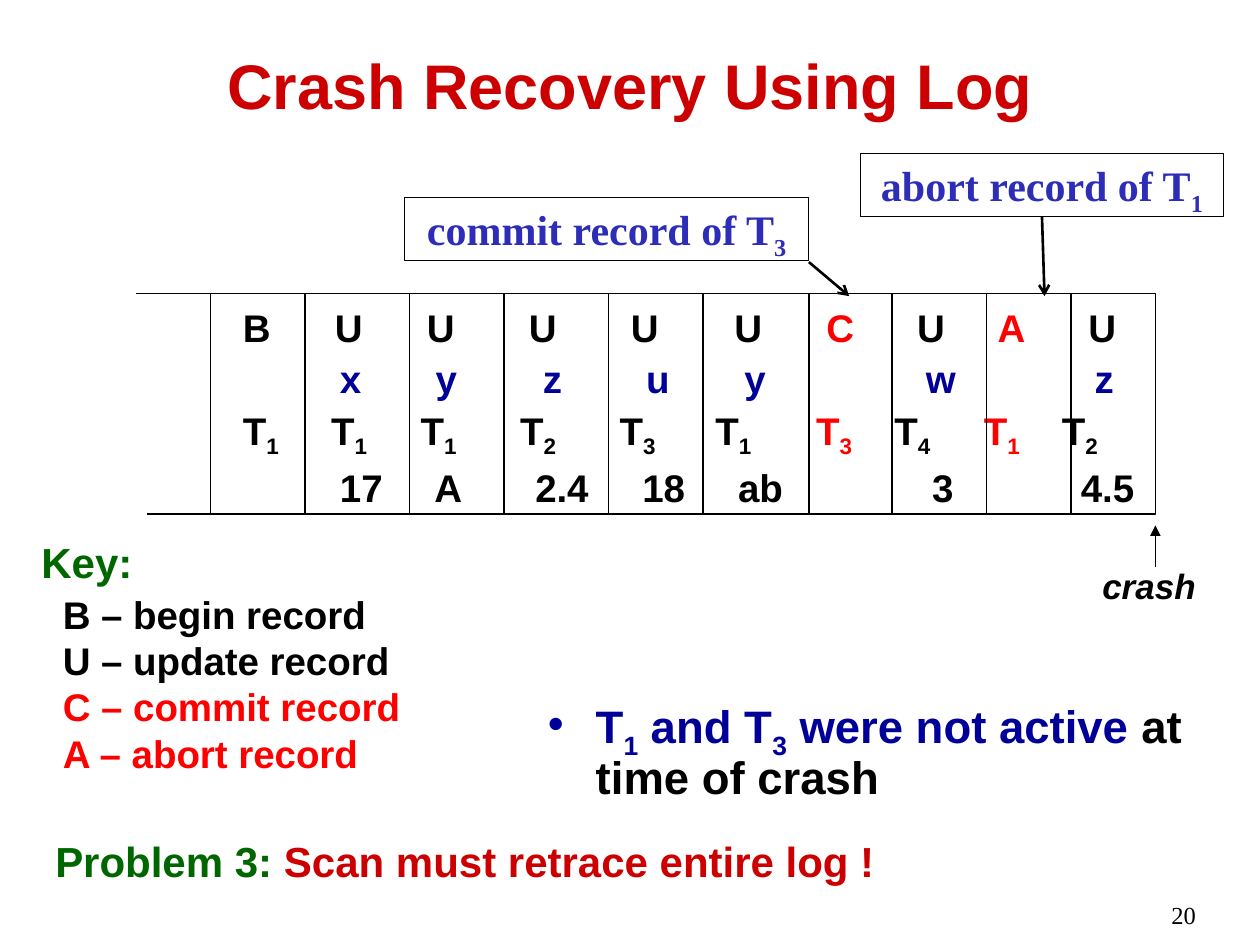
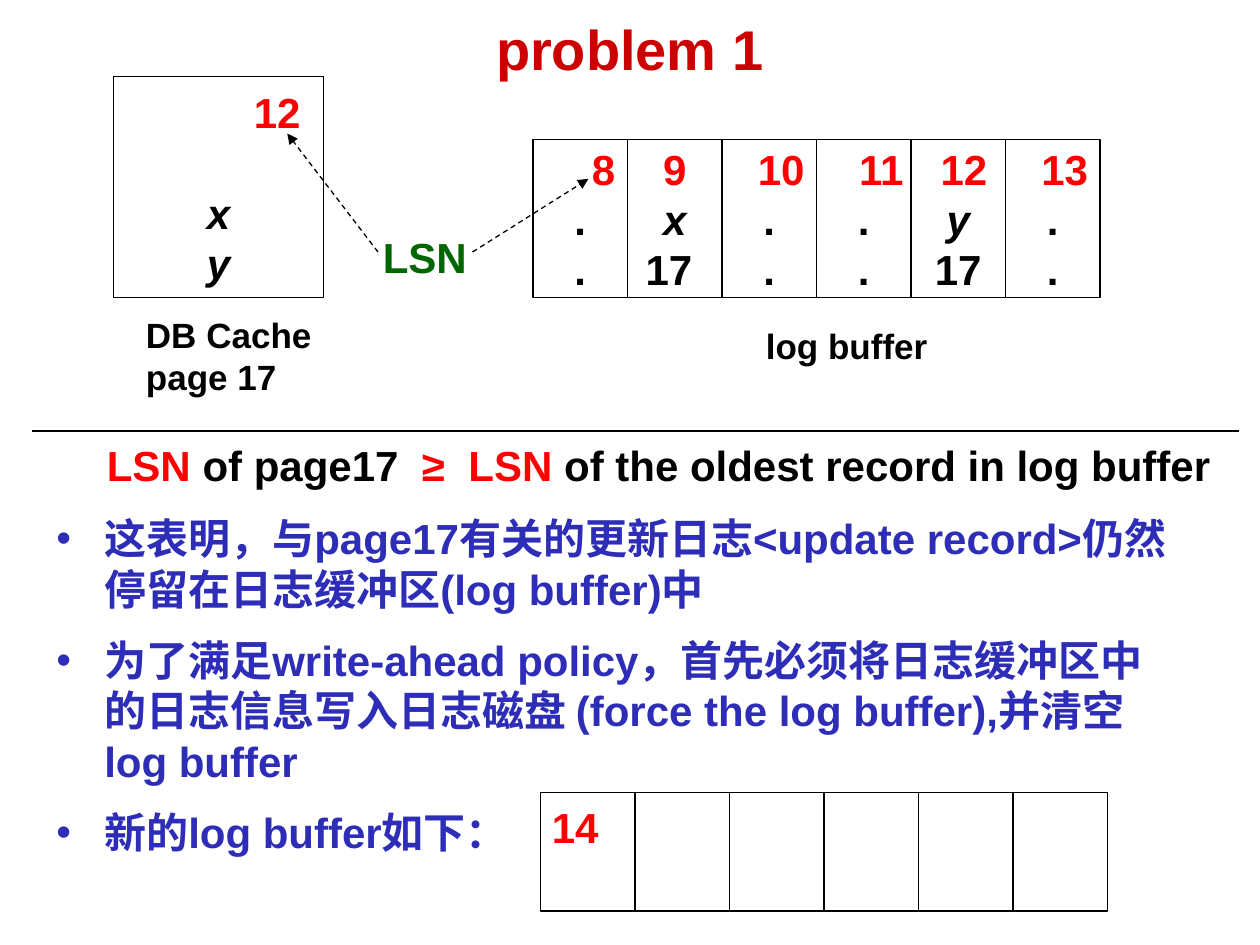
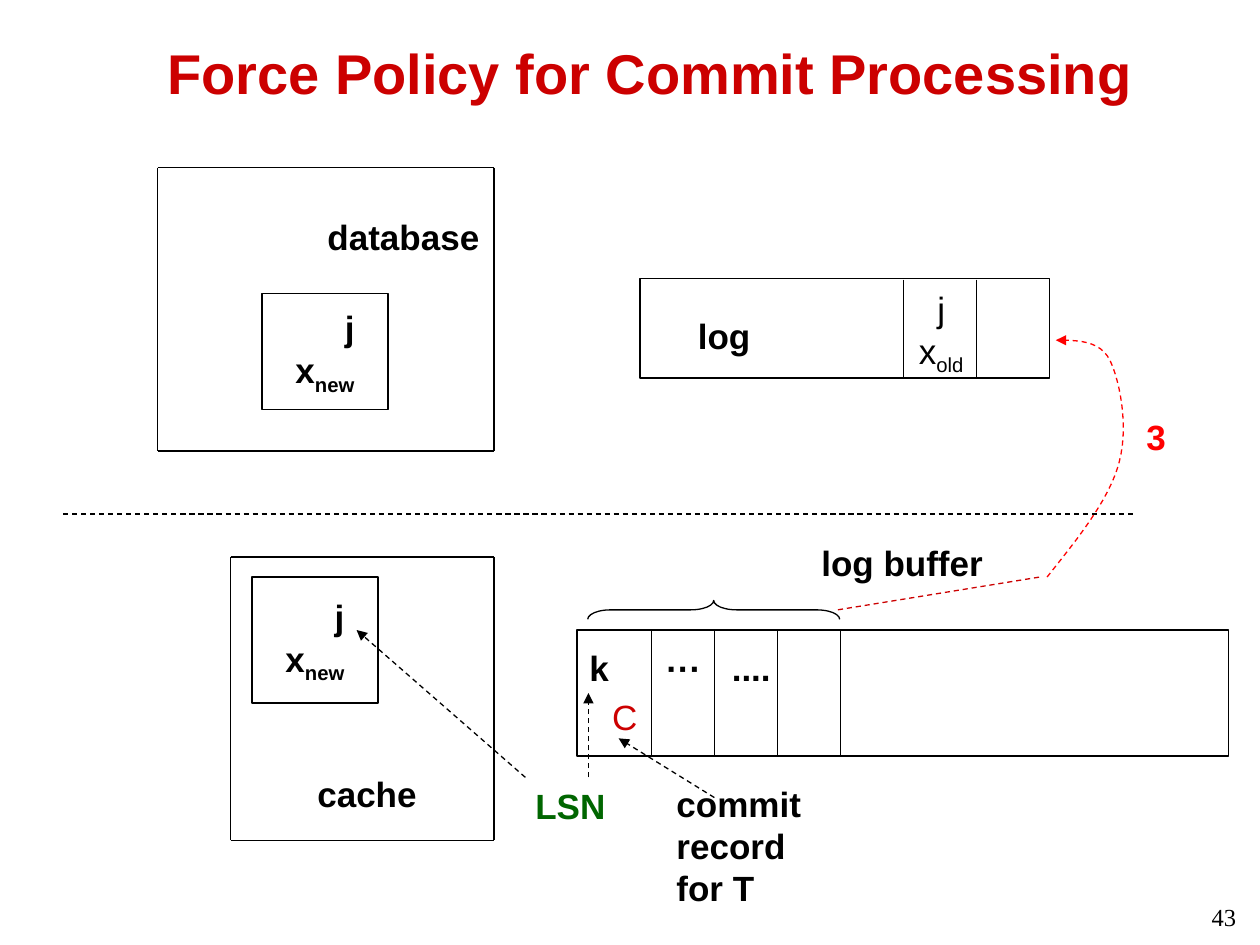
"""Build three slides on logging and crash recovery."""
import dataclasses
import typing

import pptx
import pptx.dml.color
import pptx.enum.dml
import pptx.enum.shapes
import pptx.enum.text
import pptx.oxml.ns
import pptx.util
from lxml import etree

Inches = pptx.util.Inches
Pt = pptx.util.Pt
Align = pptx.enum.text.PP_ALIGN
Anchor = pptx.enum.text.MSO_ANCHOR
Kind = pptx.enum.shapes.MSO_SHAPE
qn = pptx.oxml.ns.qn


@dataclasses.dataclass(frozen=True)
class Theme:
    sans: str = "Arial"
    serif: str = "Times New Roman"
    black: str = "000000"
    white: str = "FFFFFF"
    red: str = "FF0000"
    crimson: str = "CC0000"
    green: str = "006600"
    navy: str = "000099"
    blue: str = "2D2DB7"
    title: int = 32
    lead: int = 36
    point: int = 26
    large: int = 24
    log: int = 22
    label: int = 20
    page: int = 14
    thin: float = 0.75
    thick: float = 1.5


THEME = Theme()


class Box(typing.NamedTuple):
    left: float
    top: float
    width: float
    height: float


class Bit(typing.NamedTuple):
    text: str
    color: str | None = None
    size: int | None = None
    italic: bool | None = None


@dataclasses.dataclass(frozen=True)
class Para:
    bits: tuple
    shift: float = 0
    tabs: tuple = ()
    after: float = 0


class Wire(typing.NamedTuple):
    x1: float
    y1: float
    x2: float
    y2: float
    tip: str | None = None
    dash: bool = False
    color: str = THEME.black
    width: float = THEME.thin


class Label(typing.NamedTuple):
    box: Box
    lines: tuple
    color: str = THEME.black
    size: int = THEME.label
    italic: bool = False


def rgb(color: str):
    return pptx.dml.color.RGBColor.from_string(color)


def place(box: Box) -> list:
    return [Inches(side) for side in box]


def write(frame, *lines, size=THEME.label, color=THEME.black, font=THEME.sans,
          bold=True, italic=False, align=Align.LEFT, anchor=Anchor.TOP,
          wrap=True, pad=(0.1, 0.05), pitch=None, before=0, after=0,
          bullet=False) -> None:
    fit = pptx.enum.text.MSO_AUTO_SIZE
    frame.word_wrap = wrap
    frame.auto_size = fit.NONE if wrap else fit.SHAPE_TO_FIT_TEXT
    frame.vertical_anchor = anchor
    frame.margin_left = frame.margin_right = Inches(pad[0])
    frame.margin_top = frame.margin_bottom = Inches(pad[1])
    for index, line in enumerate(lines):
        if isinstance(line, str):
            line = Para((line,))
        para = frame.add_paragraph() if index else frame.paragraphs[0]
        para.alignment = align
        if pitch:
            para.line_spacing = pitch
        para.space_before = Pt(before)
        para.space_after = Pt(line.after or after)
        props = para._p.get_or_add_pPr()
        shift = 0.38 if bullet else line.shift
        if shift:
            props.set("marL", str(Inches(shift)))
        if bullet:
            props.set("indent", str(Inches(-shift)))
            etree.SubElement(props, qn("a:buFont"), typeface=THEME.sans)
            etree.SubElement(props, qn("a:buChar"), char="•")
        if line.tabs:
            stops = etree.SubElement(props, qn("a:tabLst"))
            for stop in line.tabs:
                etree.SubElement(stops, qn("a:tab"), pos=str(Inches(stop)), algn="l")
        for bit in line.bits:
            bit = Bit(bit) if isinstance(bit, str) else bit
            for turn, part in enumerate(bit.text.replace("}", "{").split("{")):
                if not part:
                    continue
                run = para.add_run()
                run.text = part
                run.font.name = font
                run.font.size = Pt(bit.size or size)
                run.font.bold = bold
                run.font.italic = italic if bit.italic is None else bit.italic
                run.font.color.rgb = rgb(bit.color or color)
                if turn % 2:
                    run._r.get_or_add_rPr().set("baseline", "-25000")


def text(slide, box: Box, *lines, **style) -> None:
    write(slide.shapes.add_textbox(*place(box)).text_frame, *lines, **style)


def tag(slide, label: Label) -> None:
    text(slide, label.box, *label.lines, color=label.color, size=label.size,
         italic=label.italic, wrap=False)


def ink(line, color=THEME.black, width=THEME.thin, dash=False, tip=None) -> None:
    line.color.rgb = rgb(color)
    line.width = Pt(width)
    if dash:
        line.dash_style = pptx.enum.dml.MSO_LINE.DASH
    if tip:
        etree.SubElement(line._get_or_add_ln(), qn("a:tailEnd"), type=tip)


def rect(slide, box: Box, *lines, fill=True, **style) -> None:
    shape = slide.shapes.add_shape(Kind.RECTANGLE, *place(box))
    shape.shadow.inherit = False
    if fill:
        shape.fill.solid()
        shape.fill.fore_color.rgb = rgb(THEME.white)
    else:
        shape.fill.background()
    ink(shape.line)
    if lines:
        write(shape.text_frame, *lines, **style)


def draw(slide, wire: Wire) -> None:
    ends = [Inches(end) for end in wire[:4]]
    link = slide.shapes.add_connector(
        pptx.enum.shapes.MSO_CONNECTOR.STRAIGHT, *ends)
    ink(link.line, wire.color, wire.width, wire.dash, wire.tip)
    etree.SubElement(link._element.spPr, qn("a:effectLst"))


def posts(slide, places: typing.Iterable[float], top: float, base: float) -> None:
    for x in places:
        draw(slide, Wire(x, top, x, base))


def fence(slide, left: float, top: float, right: float, base: float) -> None:
    posts(slide, (left, right), top, base)
    for y in (top, base):
        draw(slide, Wire(left, y, right, y))


def curve(slide, start: tuple, arcs: tuple, **style) -> None:
    steps = 12
    points = []
    last = start
    for one, two, end in arcs:
        for step in range(1, steps + 1):
            t = step / steps
            u = 1 - t
            points.append(tuple(
                Inches(u**3 * a + 3 * u * u * t * b + 3 * u * t * t * c + t**3 * d)
                for a, b, c, d in zip(last, one, two, end)))
        last = end
    pen = slide.shapes.build_freeform(Inches(start[0]), Inches(start[1]))
    pen.add_line_segments(points, close=False)
    shape = pen.convert_to_shape()
    shape.shadow.inherit = False
    shape.fill.background()
    ink(shape.line, **style)


def start(deck, title: str, box: Box, size=THEME.title):
    slide = deck.slides.add_slide(deck.slide_layouts[5])
    head = slide.shapes.title
    head.left, head.top, head.width, head.height = place(box)
    write(head.text_frame, title, size=size, color=THEME.crimson,
          align=Align.CENTER, anchor=Anchor.MIDDLE)
    return slide


def number(slide, box: Box, page: str) -> None:
    text(slide, box, page, size=THEME.page, font=THEME.serif, bold=False,
         align=Align.RIGHT)


def crash(deck) -> None:
    slide = start(deck, "Crash Recovery Using Log", Box(0.75, 0.17, 8.5, 1), THEME.lead)
    number(slide, Box(7.51, 7.09, 2.08, 0.25), "20")
    text(slide, Box(4.25, 5.5, 5.67, 0.92),
         Para((Bit("T{1} and T{3} were not active", THEME.navy), " at time of crash")),
         size=THEME.point, pitch=0.9, before=5.2, bullet=True)
    top, base = 2.33, 4.08
    rect(slide, Box(1.67, top, 7.5, base - top))
    red = THEME.red
    text(slide, Box(1.83, top, 7.67, 1.71),
         Para(("B\tU\tU\tU\tU\tU\t", Bit("C", red), "\tU\t", Bit("A", red), "\tU"),
              tabs=(0.73, 1.46, 2.27, 3.08, 3.9, 4.63, 5.35, 5.99, 6.71)),
         Para((Bit("\tx\ty\tz\tu\ty\tw\tz", THEME.navy),),
              tabs=(0.77, 1.53, 2.38, 3.2, 3.98, 5.42, 6.76)),
         Para(("T{1}\tT{1}\tT{1}\tT{2}\tT{3}\tT{1}\t", Bit("T{3}", red),
               "\tT{4}\t", Bit("T{1}", red), "\tT{2}"),
              tabs=(0.7, 1.41, 2.2, 2.99, 3.75, 4.55, 5.17, 5.88, 6.5)),
         Para(("\t17\tA\t2.4\t18\tab\t3\t4.5",),
              tabs=(0.77, 1.52, 2.32, 3.17, 3.93, 5.47, 6.65)),
         size=THEME.log, pitch=1.1)
    posts(slide, (2.42, 3.25, 4, 4.83, 5.58, 6.42, 7.08, 7.83, 8.5), top, base)
    for wire in (
        Wire(1.75, top, 1.08, top),
        Wire(1.75, base, 1.17, base),
        Wire(2.75, 6.5, 2.75, 6.5),
        Wire(9.17, 4.5, 9.17, 4.17, "triangle"),
        Wire(6.42, 2.08, 6.74, 2.35, "arrow", width=THEME.thick),
        Wire(8.27, 1.72, 8.29, 2.35, "arrow", width=THEME.thick),
    ):
        draw(slide, wire)
    keys = (("B – begin record", THEME.black), ("U – update record", THEME.black),
            ("C – commit record", red), ("A – abort record", red))
    tag(slide, Label(
        Box(0.23, 4.21, 3.06, 2),
        (Para((Bit("Key:", THEME.green, THEME.large),), after=2.3),
         *(Para((Bit(*key),), shift=0.17) for key in keys)),
        size=THEME.log))
    tag(slide, Label(Box(8.65, 4.43, 0.94, 0.43), ("crash",), italic=True))
    for box, note in ((Box(3.21, 1.57, 3.21, 0.5), "commit record of T{3}"),
                      (Box(6.83, 1.22, 2.88, 0.5), "abort record of T{1}")):
        rect(slide, box, note, fill=False, size=THEME.large, color=THEME.blue,
             font=THEME.serif, align=Align.CENTER)
    text(slide, Box(0.34, 6.58, 8.98, 0.5),
         Para((Bit("Problem 3: ", THEME.green), "Scan must retrace entire log !")),
         size=THEME.large, color=THEME.crimson)


def cache(deck) -> None:
    slide = start(deck, "problem 1", Box(0.75, 0.09, 8.5, 0.58))
    red = THEME.red
    mid = dict(size=THEME.large, align=Align.CENTER, anchor=Anchor.MIDDLE, pad=(0, 0))
    cells = (("8", 0.37, ".", "."), ("9", 0, "x", "17 "), ("10", 0.19, ".", "."),
             ("11", 0.28, ".", "."), ("12", 0.09, "y", "17"), ("13", 0.19, ".", "."))
    side = 0.75
    for index, (lsn, shift, item, page) in enumerate(cells):
        rect(slide, Box(4.23 + side * index, 1.11, side, 1.25),
             Para((Bit(lsn, red),), shift=shift),
             Para((Bit(item, italic=item.isalpha()),)), page, **mid)
    rect(slide, Box(0.9, 0.61, 1.67, 1.75),
         Para((Bit("12", red, italic=False),), shift=0.93, after=29),
         "x", "y", italic=True, **mid)
    tag(slide, Label(Box(1.06, 2.44, 1.55, 0.77), ("DB Cache", "page 17")))
    text(slide, Box(5.98, 2.53, 1.85, 0.43), "log buffer")
    tag(slide, Label(Box(2.94, 1.79, 0.87, 0.5), ("LSN",), THEME.green, THEME.large))
    for wire in (Wire(3, 2, 2.28, 1.06, "triangle", True),
                 Wire(3.75, 2, 4.67, 1.42, "triangle", True),
                 Wire(0.25, 3.42, 9.83, 3.42)):
        draw(slide, wire)
    text(slide, Box(0.75, 3.44, 9.1, 0.5),
         Para((Bit("LSN ", red), "of page17\t", Bit("≥\tLSN ", red),
               "of the oldest record in log buffer"), tabs=(2.5, 2.87)),
         size=THEME.large)
    text(slide, Box(0.35, 4.02, 9.06, 2.86),
         "这表明，与page17有关的更新日志<update record>仍然停留在日志缓冲区(log buffer)中",
         "为了满足write-ahead policy，首先必须将日志缓冲区中的日志信息写入日志磁盘 "
         "(force the log buffer),并清空log buffer",
         "新的log buffer如下：",
         size=THEME.large, color=THEME.blue, after=12, bullet=True)
    for index in range(len(cells)):
        rect(slide, Box(4.29 + side * index, 6.29, side, 0.94),
             *(() if index else ("14",)), size=THEME.large, color=red,
             pad=(0.09, 0.07))


def force(deck) -> None:
    slide = start(deck, "Force Policy for Commit Processing", Box(0.75, 0.17, 8.82, 0.8))
    number(slide, Box(9.26, 7.11, 0.65, 0.3), "43")
    top, base = 5, 6
    rect(slide, Box(4.58, top, 5.17, base - top))
    for outer, inner in (((1.25, 1.33, 3.92, 3.58), Box(2.08, 2.33, 1, 0.92)),
                         ((1.83, 4.42, 3.92, 6.67), Box(2, 4.58, 1, 1))):
        fence(slide, *outer)
        rect(slide, inner, Para(("j",), shift=0.39), "x{new}",
             align=Align.CENTER, anchor=Anchor.MIDDLE, pad=(0, 0))
    text(slide, Box(4.58, 5.08, 4.75, 0.77),
         Para(("k\t···\t....",), tabs=(0.61, 1.13)))
    posts(slide, (5.17 + 0.5 * index for index in range(4)), top, base)
    brace = slide.shapes.add_shape(Kind.RIGHT_BRACE, *place(Box(5.59, 3.84, 0.15, 2)))
    brace.rotation = 270
    brace.adjustments[0] = 1.21
    brace.shadow.inherit = False
    brace.fill.background()
    ink(brace.line)
    curve(slide, (8.31, 4.58),
          (((8.55, 4.28), (8.8, 3.97), (8.88, 3.68)),
           ((8.96, 3.39), (8.89, 3.03), (8.81, 2.86)),
           ((8.73, 2.7), (8.55, 2.7), (8.38, 2.7))),
          color=THEME.red, dash=True, tip="triangle")
    text(slide, Box(4.76, 5.47, 0.24, 0.44), "C", color=THEME.crimson, bold=False)
    rect(slide, Box(5.08, 2.21, 3.25, 0.79))
    posts(slide, (7.17, 7.75), 2.22, 3)
    text(slide, Box(7.18, 2.23, 0.58, 0.77), "j", "x{old}", bold=False,
         align=Align.CENTER)
    for label in (
        Label(Box(2.5, 1.66, 1.41, 0.43), ("database",)),
        Label(Box(2.42, 6.08, 0.99, 0.43), ("cache",)),
        Label(Box(5.44, 2.45, 0.69, 0.43), ("log",)),
        Label(Box(6.42, 4.25, 1.48, 0.43), ("log buffer",)),
        Label(Box(5.27, 6.16, 1.19, 1.1), ("commit", "record", "for T")),
        Label(Box(9, 3.25, 0.36, 0.43), ("3",), THEME.red),
        Label(Box(4.15, 6.18, 0.76, 0.43), ("LSN",), THEME.green),
    ):
        tag(slide, label)
    for wire in (
        Wire(0.5, 4.08, 9, 4.08, dash=True),
        Wire(5.67, 6.33, 4.91, 5.86, "triangle", True),
        Wire(4.17, 6.17, 2.83, 5, "triangle", True),
        Wire(4.67, 6.17, 4.67, 5.5, "triangle", True),
        Wire(6.65, 4.84, 8.25, 4.58, dash=True, color=THEME.crimson),
    ):
        draw(slide, wire)


def main() -> None:
    deck = pptx.Presentation()
    deck.slide_width, deck.slide_height = Inches(10), Inches(7.5)
    for build in (crash, cache, force):
        build(deck)
    deck.save("out.pptx")


if __name__ == "__main__":
    main()
